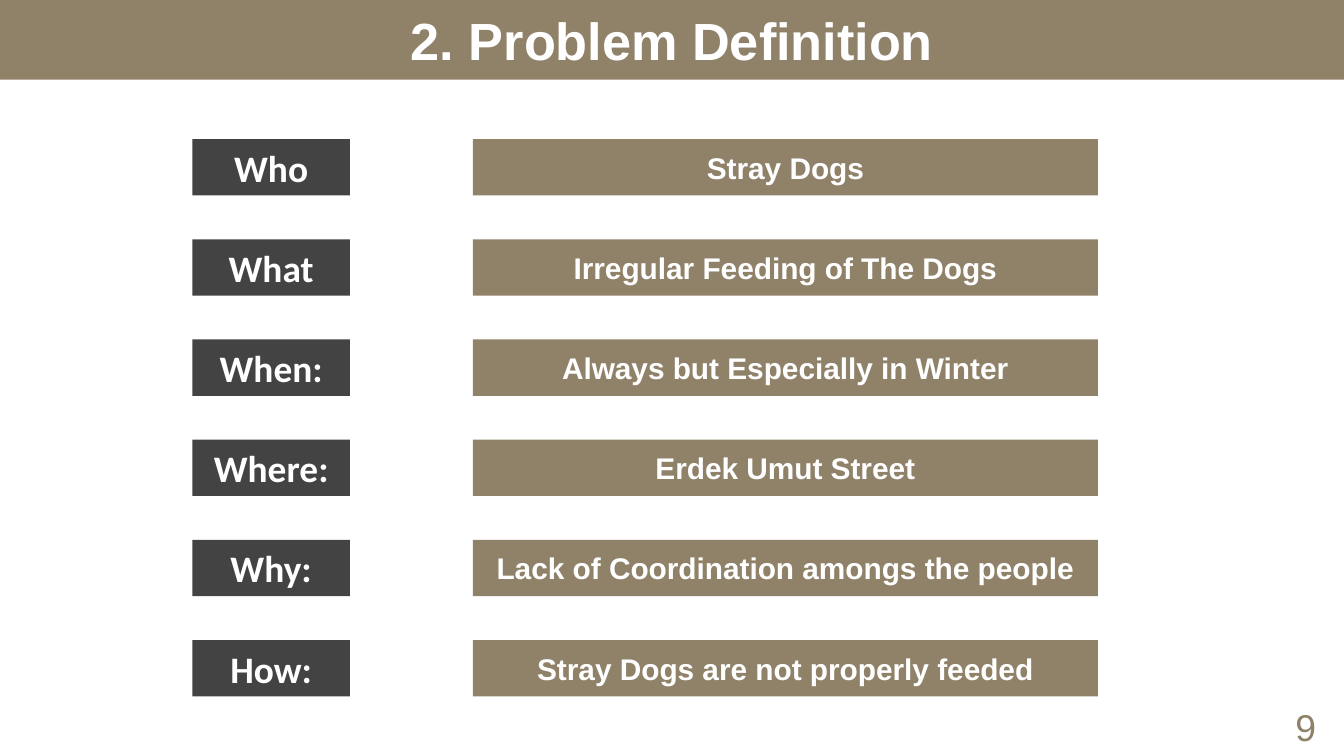
from pptx import Presentation
from pptx.dml.color import RGBColor
from pptx.enum import shapes, text
from pptx.util import Pt

HUES = {"tan": "908269", "dark": "434343", "white": "FFFFFF"}
ROWS = [
    ("Who", "Stray Dogs"),
    ("What", "Irregular Feeding of The Dogs"),
    ("When:", "Always but Especially in Winter"),
    ("Where:", "Erdek Umut Street"),
    ("Why:", "Lack of Coordination amongs the people"),
    ("How:", "Stray Dogs are not properly feeded"),
]


def hue(name):
    return RGBColor.from_string(HUES[name])


def write(shape, words, face, size, color, bold=True):
    """Put one centred line of text in a shape."""
    frame = shape.text_frame
    frame.word_wrap = True
    line = frame.paragraphs[0]
    line.text = words
    line.alignment = text.PP_ALIGN.CENTER
    font = line.font
    font.name, font.size, font.bold = face, Pt(size), bold
    font.color.rgb = hue(color)


def bar(slide, box, fill, words, face, size):
    """Draw a filled bar with white text in its middle."""
    shape = slide.shapes.add_shape(shapes.MSO_SHAPE.RECTANGLE, *map(Pt, box))
    shape.shadow.inherit = False
    shape.fill.solid()
    shape.fill.fore_color.rgb = hue(fill)
    shape.line.fill.background()
    shape.text_frame.vertical_anchor = text.MSO_ANCHOR.MIDDLE
    write(shape, words, face, size, "white")


def header(slide, box):
    bar(slide, box, "tan", "2. Problem Definition", "Arial", 28)


def grid(slide, box):
    """Stack the question and answer rows evenly in the box."""
    left, top, width, height = box
    tall, label, start = 30.2, 84.5, 150.3
    step = (height - tall) / (len(ROWS) - 1)
    for i, (ask, reply) in enumerate(ROWS):
        y = top + i * step
        bar(slide, (left, y, label, tall), "dark", ask, "Calibri", 20)
        bar(slide, (left + start, y, width - start, tall), "tan",
            reply, "Arial", 16)


def number(slide, box):
    write(slide.shapes.add_textbox(*map(Pt, box)),
          "9", "Arial", 20, "tan", bold=False)


def main():
    deck = Presentation()
    deck.slide_width, deck.slide_height = Pt(720), Pt(405)
    slide = deck.slides.add_slide(deck.slide_layouts[6])
    header(slide, (0, -0.5, 720, 43.2))
    grid(slide, (103, 74.5, 485.2, 298.6))
    number(slide, (679, 373.7, 41, 31.3))
    deck.save("out.pptx")


if __name__ == "__main__":
    main()
